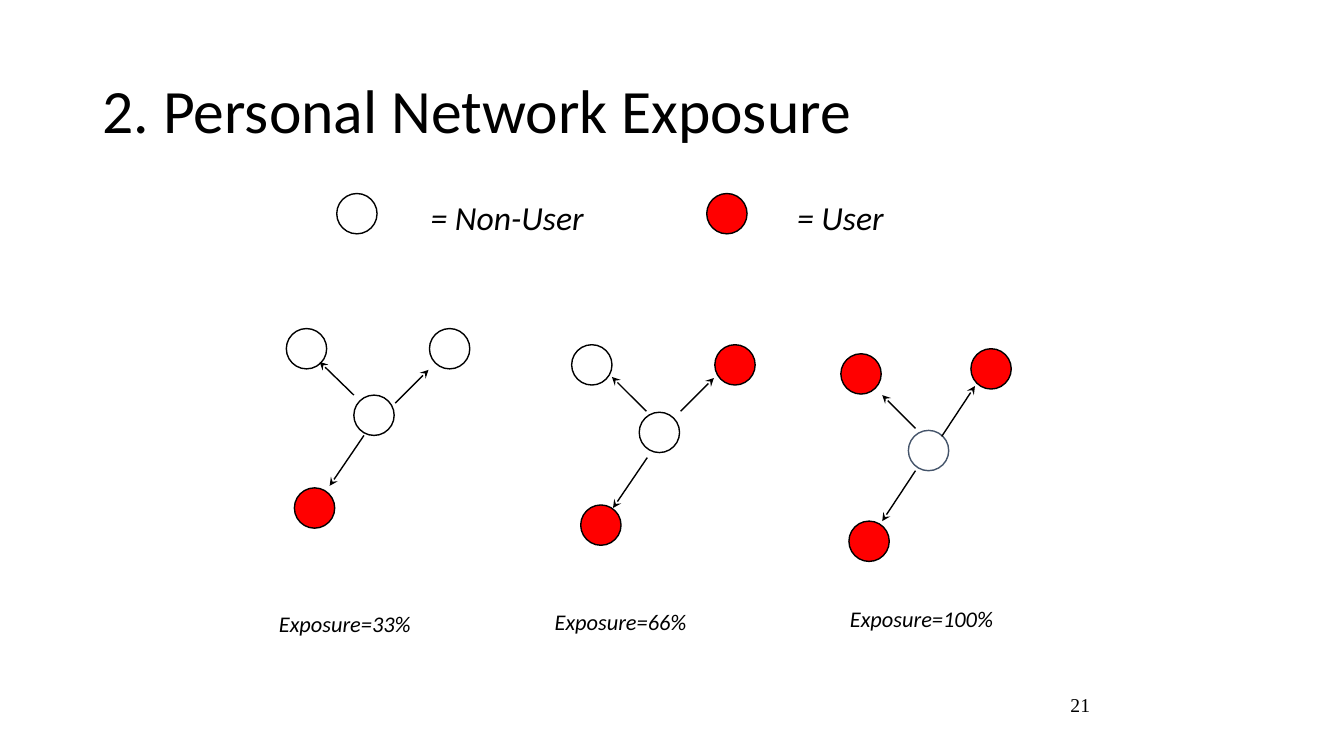
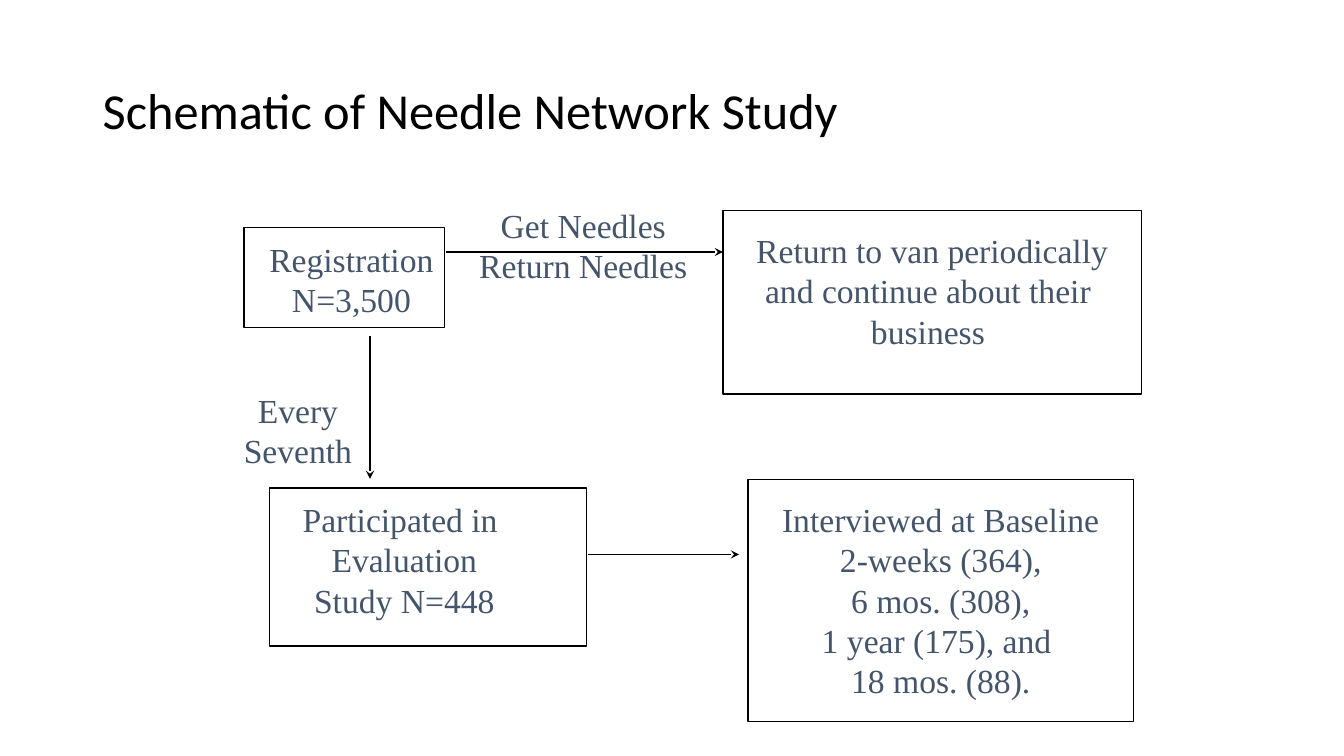
"""Build two slides on network exposure and a needle network study."""
import lxml.etree
import pptx
import pptx.dml.color
import pptx.enum.shapes
import pptx.enum.text
import pptx.oxml.ns
import pptx.util

Inches = pptx.util.Inches
Align = pptx.enum.text.PP_ALIGN
Anchor = pptx.enum.text.MSO_ANCHOR
Shape = pptx.enum.shapes.MSO_SHAPE

COLORS = {"black": "000000", "white": "FFFFFF", "user": "FF0000", "slate": "44546A"}
SANS = "Calibri"
SERIF = "Times New Roman"
NODE_SIZE = 0.4

NETWORKS = [
    {
        "hub": (3.51, 3.92, "white", "black"),
        "peers": [(4.26, 3.26, "white"), (2.84, 3.26, "white"), (2.92, 4.84, "user")],
        "arrows": [(3.92, 4, 4.25, 3.67), (3.51, 3.92, 3.17, 3.59), (3.61, 4.32, 3.27, 4.82)],
        "label": ("Exposure=33%", 2.47, 6, 1.9),
    },
    {
        "hub": (6.34, 4.09, "white", "black"),
        "peers": [(7.09, 3.42, "user"), (5.67, 3.42, "white"), (5.76, 5.01, "user")],
        "arrows": [(6.75, 4.08, 7.08, 3.75), (6.41, 4.08, 6.07, 3.74), (6.42, 4.54, 6.08, 5.04)],
        "label": ("Exposure=66%", 5.39, 5.98, 1.53),
    },
    {
        "hub": (9.01, 4.27, None, "slate"),
        "peers": [(9.63, 3.46, "user"), (8.34, 3.51, "user"), (8.42, 5.17, "user")],
        "arrows": [(9.34, 4.33, 9.67, 3.83), (9.08, 4.25, 8.75, 3.92), (9.08, 4.67, 8.75, 5.17)],
        "label": ("Exposure=100%", 8.32, 5.95, 1.64),
    },
]


class Deck:
    """Hold the shared style and the slide being drawn."""

    def __init__(self):
        self.presentation = pptx.Presentation()
        self.presentation.slide_width = Inches(13.33)
        self.presentation.slide_height = Inches(7.5)
        self.slide = None

    def color(self, name):
        return pptx.dml.color.RGBColor.from_string(COLORS[name])

    def add_slide(self, title, size):
        self.slide = self.presentation.slides.add_slide(self.presentation.slide_layouts[6])
        frame = self.text(title, 0.92, 0.4, 11.5, 1.45, size, align=Align.LEFT, wrap=True)
        frame.vertical_anchor = Anchor.MIDDLE
        frame.paragraphs[0].line_spacing = 0.9

    def set_text(self, frame, content, size, font=SANS, color="black", align=Align.CENTER,
                 italic=False, wrap=False):
        frame.text = content
        frame.word_wrap = wrap
        frame.vertical_anchor = Anchor.TOP
        for paragraph in frame.paragraphs:
            paragraph.alignment = align
            for run in paragraph.runs:
                run.font.name = font
                run.font.size = pptx.util.Pt(size)
                run.font.italic = italic
                run.font.color.rgb = self.color(color)
        return frame

    def text(self, content, left, top, width, height, size, **style):
        shape = self.slide.shapes.add_textbox(
            Inches(left), Inches(top), Inches(width), Inches(height))
        return self.set_text(shape.text_frame, content, size, **style)

    def caption(self, content, left, top, width, height, size):
        self.text(content, left, top, width, height, size, italic=True)

    def flow_label(self, content, left, top, width, height):
        self.text(content, left, top, width, height, 24, font=SERIF, color="slate")

    def outline(self, kind, left, top, width, height, fill, line="black"):
        shape = self.slide.shapes.add_shape(
            kind, Inches(left), Inches(top), Inches(width), Inches(height))
        shape.shadow.inherit = False
        if fill:
            shape.fill.solid()
            shape.fill.fore_color.rgb = self.color(fill)
        else:
            shape.fill.background()
        shape.line.color.rgb = self.color(line)
        shape.line.width = pptx.util.Pt(1)
        return shape

    def node(self, left, top, fill, line="black"):
        self.outline(Shape.OVAL, left, top, NODE_SIZE, NODE_SIZE, fill, line)

    def box(self, content, left, top, width, height, text_top, fill="white", insets=(0.1, 0.1)):
        frame = self.outline(Shape.RECTANGLE, left, top, width, height, fill).text_frame
        frame.margin_left, frame.margin_right = map(Inches, insets)
        frame.margin_top = Inches(text_top)
        self.set_text(frame, content, 24, font=SERIF, color="slate")

    def arrow(self, start_x, start_y, end_x, end_y):
        connector = self.slide.shapes.add_connector(
            pptx.enum.shapes.MSO_CONNECTOR.STRAIGHT,
            Inches(start_x), Inches(start_y), Inches(end_x), Inches(end_y))
        connector.line.color.rgb = self.color("black")
        connector.line.width = pptx.util.Pt(1)
        qualified = pptx.oxml.ns.qn
        properties = connector.element.spPr
        line = properties.find(qualified("a:ln"))
        lxml.etree.SubElement(line, qualified("a:tailEnd"), type="stealth")
        lxml.etree.SubElement(properties, qualified("a:effectLst"))

    def network(self, hub, peers, arrows, label):
        self.node(*hub)
        for peer in peers:
            self.node(*peer)
        for arrow in arrows:
            self.arrow(*arrow)
        self.caption(*label, 0.37, 16)


def exposure_slide(deck):
    deck.add_slide("2. Personal Network Exposure", 44)
    deck.node(3.34, 1.92, "white")
    deck.caption("= Non-User", 4.16, 1.9, 1.74, 0.51, 24)
    deck.node(7.01, 1.92, "user")
    deck.caption("= User", 7.8, 1.9, 1.07, 0.51, 24)
    for network in NETWORKS:
        deck.network(**network)
    deck.text("21", 8.83, 6.83, 2.08, 0.5, 14, font=SERIF, align=Align.RIGHT, wrap=True)


def study_slide(deck):
    deck.add_slide("Schematic of Needle Network Study", 36)
    deck.box("Registration\nN=3,500", 2.42, 2.26, 1.99, 0.99, 0.11, insets=(0.14, 0))
    deck.box("Participated in \nEvaluation\nStudy N=448", 2.67, 4.84, 3.15, 1.57, 0.11,
             insets=(0, 0.47))
    deck.box("Interviewed at Baseline\n2-weeks (364),\n6 mos. (308),\n"
             "1 year (175), and \n18 mos. (88).", 7.42, 4.76, 3.82, 2.4, 0.19)
    deck.box("Return to van periodically\nand continue about their \nbusiness ",
             7.17, 2.09, 4.15, 1.82, 0.19, fill=None)
    deck.arrow(4.42, 2.5, 7.17, 2.5)
    deck.arrow(3.67, 3.33, 3.67, 4.75)
    deck.arrow(5.83, 5.5, 7.33, 5.5)
    deck.flow_label("Get Needles\nReturn Needles", 4.64, 1.98, 2.29, 0.91)
    deck.flow_label("Every\nSeventh", 2.31, 3.82, 1.29, 0.91)


def main():
    deck = Deck()
    exposure_slide(deck)
    study_slide(deck)
    deck.presentation.save("out.pptx")


if __name__ == "__main__":
    main()
